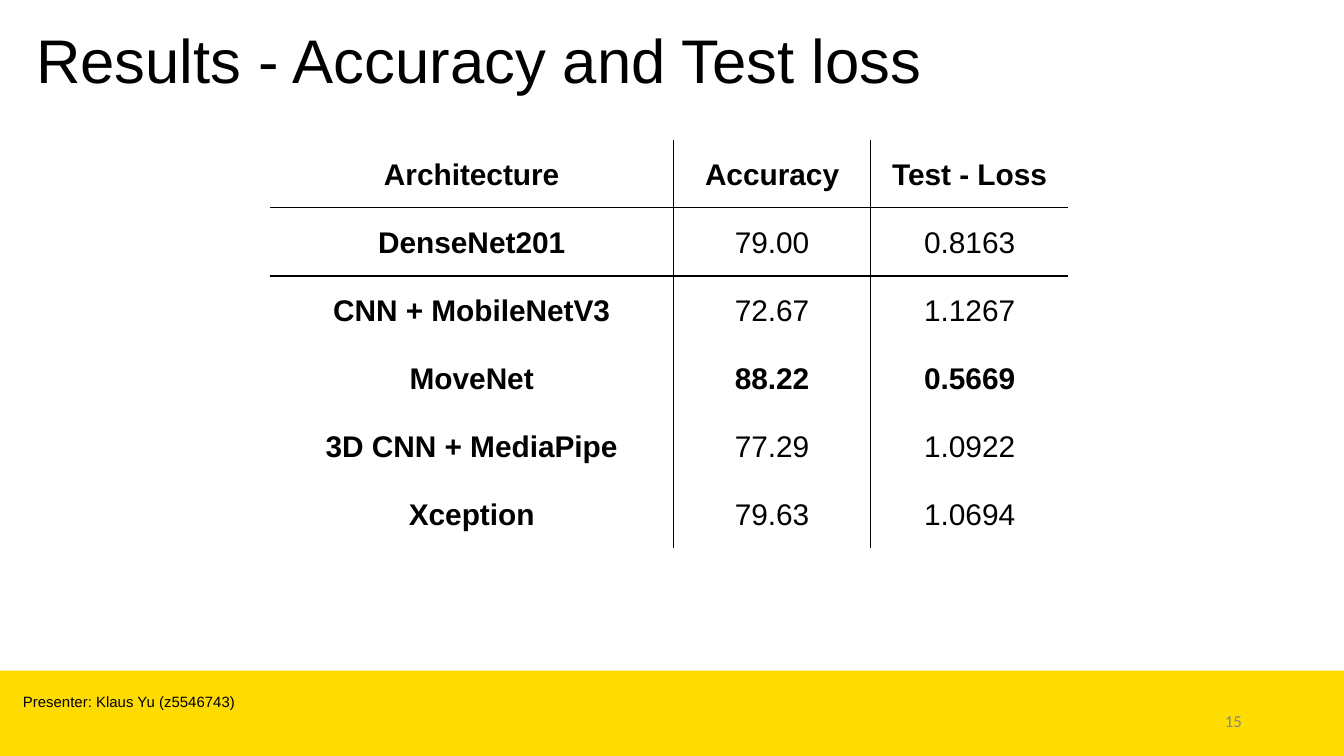
from dataclasses import dataclass

import lxml.etree
import pptx
import pptx.dml.color
import pptx.enum.shapes
import pptx.enum.text
import pptx.oxml.ns
import pptx.slide
import pptx.table
import pptx.text.text
import pptx.util

Inches = pptx.util.Inches
Pt = pptx.util.Pt
ALIGN = pptx.enum.text.PP_ALIGN
ANCHOR = pptx.enum.text.MSO_ANCHOR


@dataclass(frozen=True)
class Theme:
    ink: str = "000000"
    muted: str = "888888"
    band: str = "FFDC00"
    font: str = "Arial"
    number_font: str = "Calibri"
    title_size: float = 33
    table_size: float = 16
    number_size: float = 9
    footer_size: float = 8
    rule_width: float = 0.75


THEME = Theme()


@dataclass(frozen=True)
class Label:
    text: str
    left: float
    top: float
    width: float
    height: float
    size: float
    font: str = THEME.font
    color: str = THEME.ink
    align: ALIGN = ALIGN.LEFT
    anchor: ANCHOR = ANCHOR.MIDDLE
    spacing: float = 1.0


@dataclass(frozen=True)
class Result:
    architecture: str
    accuracy: str
    loss: str
    bold: bool = False


LABELS = [
    Label("Results - Accuracy and Test loss", 0.2, 0.13, 9.54, 0.69,
          THEME.title_size, spacing=0.9),
    Label("15", 7.06, 5.21, 2.25, 0.3, THEME.number_size,
          THEME.number_font, THEME.muted, ALIGN.RIGHT),
    Label("Presenter: Klaus Yu (z5546743)", 0.1, 5.11, 6.01, 0.21,
          THEME.footer_size, anchor=ANCHOR.TOP),
]

RESULTS = [
    Result("Architecture", "Accuracy", "Test - Loss", bold=True),
    Result("DenseNet201", "79.00", "0.8163"),
    Result("CNN + MobileNetV3", "72.67", "1.1267"),
    Result("MoveNet", "88.22", "0.5669", bold=True),
    Result("3D CNN + MediaPipe", "77.29", "1.0922"),
    Result("Xception", "79.63", "1.0694"),
]
COLUMN_WIDTHS = [3, 1.47, 1.47]
ROW_HEIGHT = 0.5
RULED_ROWS = 2


def rgb(color: str) -> pptx.dml.color.RGBColor:
    return pptx.dml.color.RGBColor.from_string(color)


def add_run(p: pptx.text.text._Paragraph, text: str, size: float,
            font: str, color: str, bold: bool = False) -> None:
    r = p.add_run()
    r.text = text
    r.font.size = Pt(size)
    r.font.name = font
    r.font.bold = bold
    r.font.color.rgb = rgb(color)


def add_band(s: pptx.slide.Slide) -> None:
    sp = s.shapes.add_shape(pptx.enum.shapes.MSO_SHAPE.RECTANGLE,
                            Inches(4.68), Inches(0.31), Inches(0.64), Inches(10))
    sp.rotation = 90
    sp.shadow.inherit = False
    sp.fill.solid()
    sp.fill.fore_color.rgb = rgb(THEME.band)
    sp.line.fill.background()


def add_label(s: pptx.slide.Slide, label: Label) -> None:
    sp = s.shapes.add_textbox(Inches(label.left), Inches(label.top),
                              Inches(label.width), Inches(label.height))
    tf = sp.text_frame
    tf.word_wrap = True
    tf.vertical_anchor = label.anchor
    tf.margin_left = tf.margin_right = Inches(0.07)
    tf.margin_top = tf.margin_bottom = Inches(0.04)
    p = tf.paragraphs[0]
    p.alignment = label.align
    p.line_spacing = label.spacing
    add_run(p, label.text, label.size, label.font, label.color)


def set_borders(cell: pptx.table._Cell, visible: dict[str, bool]) -> None:
    qn = pptx.oxml.ns.qn
    props = cell._tc.get_or_add_tcPr()
    for side, shown in visible.items():
        ln = lxml.etree.SubElement(props, qn(f"a:ln{side}"),
                                   w=str(Pt(THEME.rule_width)))
        if shown:
            fill = lxml.etree.SubElement(ln, qn("a:solidFill"))
            lxml.etree.SubElement(fill, qn("a:srgbClr"), val=THEME.ink)
        else:
            lxml.etree.SubElement(ln, qn("a:noFill"))


def fill_cell(cell: pptx.table._Cell, text: str, bold: bool) -> None:
    cell.fill.background()
    cell.margin_left = cell.margin_right = Inches(0.1)
    cell.margin_top = cell.margin_bottom = Inches(0.1)
    p = cell.text_frame.paragraphs[0]
    p.alignment = ALIGN.CENTER
    p.line_spacing = 1.15
    add_run(p, text, THEME.table_size, THEME.font, THEME.ink, bold)


def add_results(s: pptx.slide.Slide, results: list[Result]) -> None:
    table = s.shapes.add_table(
        len(results), len(COLUMN_WIDTHS), Inches(2.01), Inches(1.04),
        Inches(sum(COLUMN_WIDTHS)), Inches(ROW_HEIGHT * len(results))).table
    table.first_row = False
    table.horz_banding = False
    for column, width in zip(table.columns, COLUMN_WIDTHS):
        column.width = Inches(width)
    for i, result in enumerate(results):
        table.rows[i].height = Inches(ROW_HEIGHT)
        values = (result.architecture, result.accuracy, result.loss)
        for j, value in enumerate(values):
            cell = table.cell(i, j)
            set_borders(cell, {
                "L": j > 0,
                "R": j < len(values) - 1,
                "T": 0 < i <= RULED_ROWS,
                "B": i < RULED_ROWS,
            })
            fill_cell(cell, value, result.bold or j == 0)


def main() -> None:
    prs = pptx.Presentation()
    prs.slide_width = Inches(10)
    prs.slide_height = prs.slide_width * 9 // 16
    s = prs.slides.add_slide(prs.slide_layouts[6])
    add_band(s)
    for label in LABELS:
        add_label(s, label)
    add_results(s, RESULTS)
    prs.save("out.pptx")


if __name__ == "__main__":
    main()
